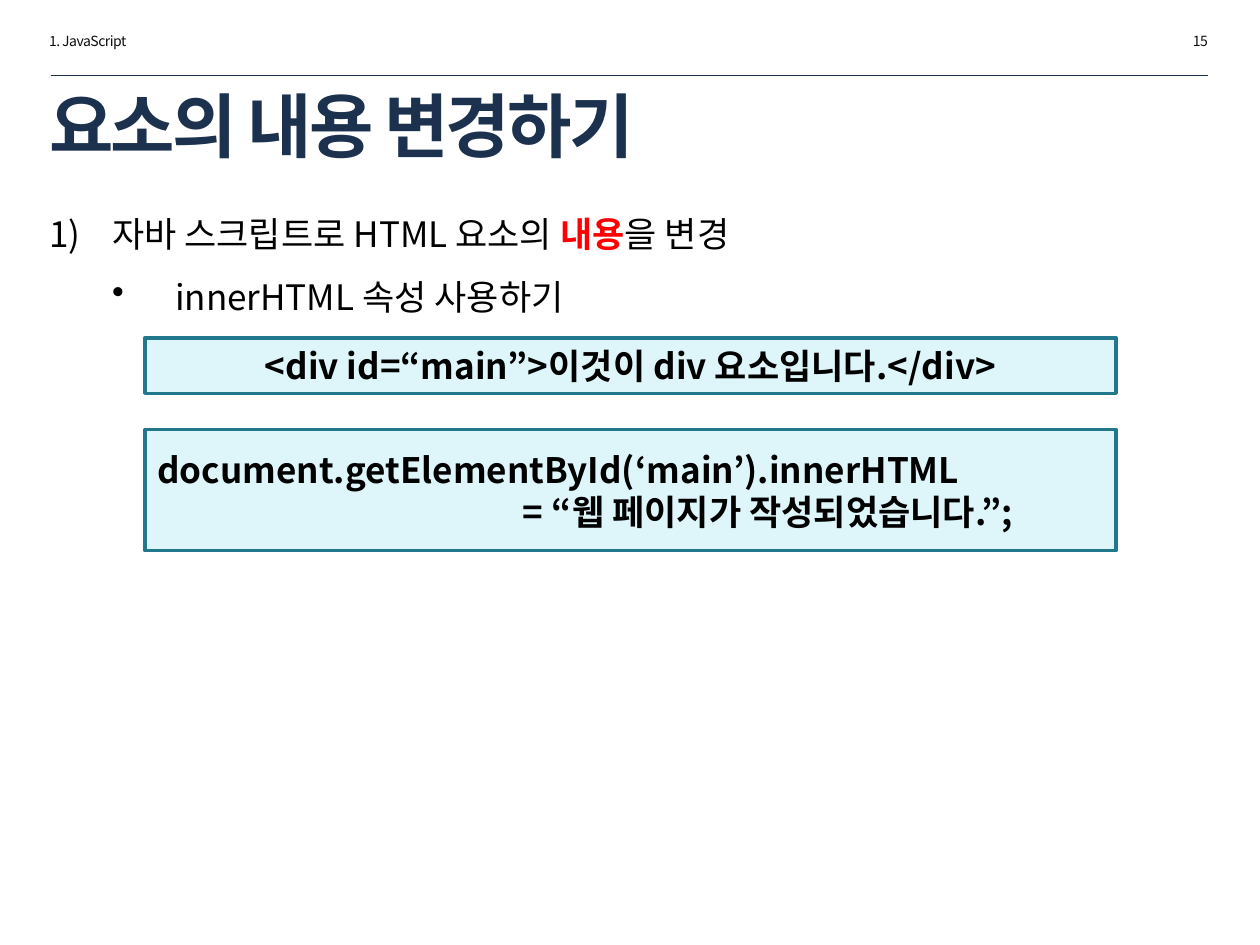
from lxml import etree
from pptx import Presentation
from pptx.dml.color import RGBColor
from pptx.enum.shapes import MSO_CONNECTOR, MSO_SHAPE
from pptx.enum.text import MSO_ANCHOR, PP_ALIGN
from pptx.oxml.ns import qn
from pptx.util import Cm, Pt

LEFT, CENTER, RIGHT = PP_ALIGN.LEFT, PP_ALIGN.CENTER, PP_ALIGN.RIGHT
TOP, MIDDLE = MSO_ANCHOR.TOP, MSO_ANCHOR.MIDDLE
FONT = "Noto Sans CJK KR"
NAVY, INK, BLACK, RED = "1C314E", "0D0D0D", "000000", "FF0000"
CODE_FILL, CODE_LINE = "DEF5FA", "21788D"

# Content
CHAPTER, PAGE = "1. JavaScript", "15"
TITLE = "요소의 내용 변경하기"
# (bullet tag, bullet attributes, runs as (text, format))
POINTS = [
    ("a:buAutoNum", {"type": "arabicParenR"},
     [("자바 스크립트로 HTML 요소의 ", {}),
      ("내용", {"color": RED, "bold": True}),
      ("을 변경", {})]),
    ("a:buChar", {"char": "•"}, [("innerHTML 속성 사용하기", {})]),
]
# (top, height, alignment, lines), in cm
CODE_BOXES = [
    (6.81, 1.12, CENTER, ["<div id=“main”>이것이 div 요소입니다.</div>"]),
    (8.66, 2.44, LEFT, [
        "document.getElementById(‘main’).innerHTML",
        "                                              = “웹 페이지가 작성되었습니다.”;",
    ]),
]

MARGIN = 0.74
HEADER_TOP, HEADER_W, HEADER_H = 0.53, 4.39, 0.61
CODE_LEFT, CODE_W = 2.92, 19.58
INDENT = 1.27


def rgb(value):
    return RGBColor.from_string(value)


def add_run(p, text, size=20, color=BLACK, bold=False, spacing=None):
    r = p.add_run()
    r.text = text
    r.font.size, r.font.bold, r.font.name = Pt(size), bold, FONT
    r.font.color.rgb = rgb(color)
    rPr = r.font._element
    if spacing is not None:
        rPr.set("spc", str(round(spacing * 100)))
    etree.SubElement(rPr, qn("a:ea")).set("typeface", FONT)


def write_lines(sp, lines, align=LEFT, anchor=TOP, **fmt):
    tf = sp.text_frame
    tf.word_wrap, tf.vertical_anchor = True, anchor
    for i, line in enumerate(lines):
        p = tf.add_paragraph() if i else tf.paragraphs[0]
        p.alignment = align
        add_run(p, line, **fmt)


def add_text(s, box, text, **fmt):
    sp = s.shapes.add_textbox(*map(Cm, box))
    write_lines(sp, [text], **fmt)


prs = Presentation()
prs.slide_width, prs.slide_height = Cm(25.4), Cm(19.05)
s = prs.slides.add_slide(prs.slide_layouts[6])

# Header: chapter, page number and rule
for text, left, align in [(CHAPTER, MARGIN, LEFT),
                          (PAGE, 25.4 - 0.8 - HEADER_W, RIGHT)]:
    add_text(s, (left, HEADER_TOP, HEADER_W, HEADER_H), text,
             align=align, size=8, color=INK, spacing=-0.3)
rule = s.shapes.add_connector(MSO_CONNECTOR.STRAIGHT,
                              Cm(1.02), Cm(1.52), Cm(24.36), Cm(1.52))
rule.line.color.rgb, rule.line.width = rgb(NAVY), Pt(0.25)
etree.SubElement(rule._element.spPr, qn("a:effectLst"))

# Title
add_text(s, (MARGIN, 1.7, 19.43, 1.63), TITLE, anchor=MIDDLE,
         size=40, color=NAVY, bold=True, spacing=-1.5)

# Numbered point with its sub-point
tf = s.shapes.add_textbox(Cm(MARGIN), Cm(3.73), Cm(23.9), Cm(2.82)).text_frame
tf.word_wrap = True
for level, (tag, attrs, runs) in enumerate(POINTS):
    p = tf.add_paragraph() if level else tf.paragraphs[0]
    p.level, p.line_spacing = level, 1.5
    pPr = p._p.get_or_add_pPr()
    pPr.set("marL", str(Cm(INDENT * (level + 1))))
    pPr.set("indent", str(-Cm(INDENT)))
    etree.SubElement(pPr, qn(tag), attrs)
    for text, fmt in runs:
        add_run(p, text, **fmt)

# Code boxes
for top, height, align, lines in CODE_BOXES:
    sp = s.shapes.add_shape(MSO_SHAPE.RECTANGLE, Cm(CODE_LEFT), Cm(top),
                            Cm(CODE_W), Cm(height))
    sp.shadow.inherit = False
    sp.fill.solid()
    sp.fill.fore_color.rgb = rgb(CODE_FILL)
    sp.line.color.rgb, sp.line.width = rgb(CODE_LINE), Pt(2)
    write_lines(sp, lines, align=align, anchor=MIDDLE, bold=True)

prs.save("out.pptx")
